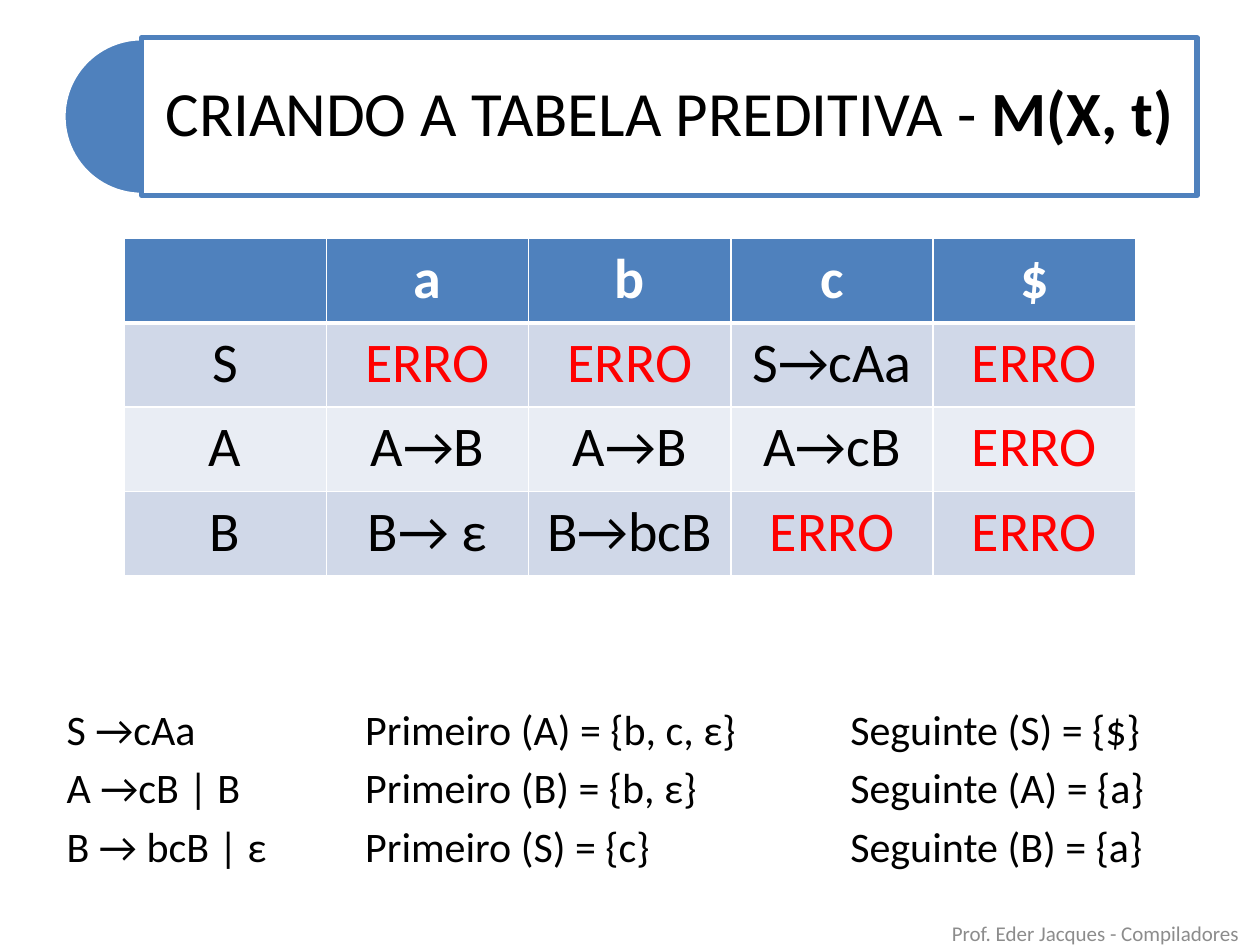
"""Build the slide with the predictive parsing table M(X, t)."""
from lxml.etree import SubElement
from pptx import Presentation
from pptx.dml.color import RGBColor
from pptx.enum.shapes import MSO_SHAPE
from pptx.enum.text import MSO_ANCHOR, MSO_AUTO_SIZE, PP_ALIGN
from pptx.oxml.ns import qn
from pptx.util import Pt

COLORS = {
    "blue": "4F81BD",
    "white": "FFFFFF",
    "black": "000000",
    "error": "FF0000",
    "odd_row": "D0D8E8",
    "even_row": "E9EDF4",
    "footer": "8C8C8C",
}


def format_runs(para, size, color, bold=False):
    for span in para.runs:
        span.font.name = "Calibri"
        span.font.size = Pt(size)
        span.font.bold = bold
        span.font.color.rgb = RGBColor.from_string(COLORS[color])


def add_border(cell, side, width):
    line = SubElement(cell._tc.get_or_add_tcPr(), qn(f"a:{side}"), w=str(Pt(width)))
    fill = SubElement(line, qn("a:solidFill"))
    SubElement(fill, qn("a:srgbClr"), val=COLORS["white"])


deck = Presentation()
deck.slide_width, deck.slide_height = Pt(720), Pt(540)
page = deck.slides.add_slide(deck.slide_layouts[5])

title = page.shapes.title
title.left, title.top, title.width, title.height = Pt(81), Pt(21.6), Pt(603), Pt(90)
title.fill.solid()
title.fill.fore_color.rgb = RGBColor.from_string(COLORS["white"])
title.line.color.rgb = RGBColor.from_string(COLORS["blue"])
title.line.width = Pt(3)
frame = title.text_frame
frame.auto_size = MSO_AUTO_SIZE.NONE
frame.word_wrap = True
frame.vertical_anchor = MSO_ANCHOR.MIDDLE
frame.margin_left = frame.margin_right = Pt(10.8)
frame.margin_top = frame.margin_bottom = Pt(10.8)
frame.text = "CRIANDO A TABELA PREDITIVA - "
para = frame.paragraphs[0]
para.alignment = PP_ALIGN.CENTER
para.line_spacing = 0.9
para.add_run().text = "M(X, t)"
format_runs(para, 36, "black")
para.runs[1].font.bold = True

half_disc = page.shapes.add_shape(MSO_SHAPE.PIE, Pt(36), Pt(21.6), Pt(90), Pt(90))
half_disc.adjustments[0] = 54
half_disc.adjustments[1] = 162
half_disc.shadow.inherit = False
half_disc.fill.solid()
half_disc.fill.fore_color.rgb = RGBColor.from_string(COLORS["blue"])
half_disc.line.color.rgb = RGBColor.from_string(COLORS["white"])
half_disc.line.width = Pt(3)
title.element.addprevious(half_disc.element)

entries = [
    ["", "a", "b", "c", "$"],
    ["S", "ERRO", "ERRO", "S→cAa", "ERRO"],
    ["A", "A→B", "A→B", "A→cB", "ERRO"],
    ["B", "B→ ε", "B→bcB", "ERRO", "ERRO"],
]
row_fills = ["blue", "odd_row", "even_row", "odd_row"]
table = page.shapes.add_table(4, 5, Pt(70.9), Pt(136.3), Pt(578), Pt(192.8)).table
for column in table.columns:
    column.width = Pt(115.6)
for row_index, row in enumerate(entries):
    table.rows[row_index].height = Pt(48.2)
    for column_index, entry in enumerate(row):
        cell = table.cell(row_index, column_index)
        for side in ("lnL", "lnR", "lnT", "lnB"):
            header_edge = (row_index, side) in ((0, "lnB"), (1, "lnT"))
            add_border(cell, side, 3 if header_edge else 1)
        cell.fill.solid()
        cell.fill.fore_color.rgb = RGBColor.from_string(COLORS[row_fills[row_index]])
        cell.text_frame.text = entry
        para = cell.text_frame.paragraphs[0]
        para.alignment = PP_ALIGN.CENTER
        color = "white" if row_index == 0 else "error" if entry == "ERRO" else "black"
        format_runs(para, 32, color, row_index == 0)

footer = page.shapes.add_textbox(Pt(511.9), Pt(519.1), Pt(228.2), Pt(28.8))
footer.text_frame.word_wrap = True
footer.text_frame.vertical_anchor = MSO_ANCHOR.MIDDLE
footer.text_frame.text = "Prof. Eder Jacques - Compiladores"
para = footer.text_frame.paragraphs[0]
para.alignment = PP_ALIGN.CENTER
format_runs(para, 12, "footer")

lists = [
    (31, 142, ["S →cAa", "A →cB | B", "B → bcB | ε"]),
    (201.6, 238.3, ["Primeiro (A) = {b, c, ε}", "Primeiro (B) = {b, ε}", "Primeiro (S) = {c}"]),
    (478.8, 238.3, ["Seguinte (S) = {$}", "Seguinte (A) = {a}", "Seguinte (B) = {a}"]),
]
for left, width, lines in lists:
    box = page.shapes.add_textbox(Pt(left), Pt(398.2), Pt(width), Pt(110.2))
    box.text_frame.word_wrap = True
    box.text_frame.text = "\n".join(lines)
    for para in box.text_frame.paragraphs:
        para.space_before = Pt(4.8)
        properties = para._p.get_or_add_pPr()
        properties.set("marL", str(Pt(27)))
        properties.set("indent", str(Pt(-27)))
        format_runs(para, 24, "black")

deck.save("out.pptx")
